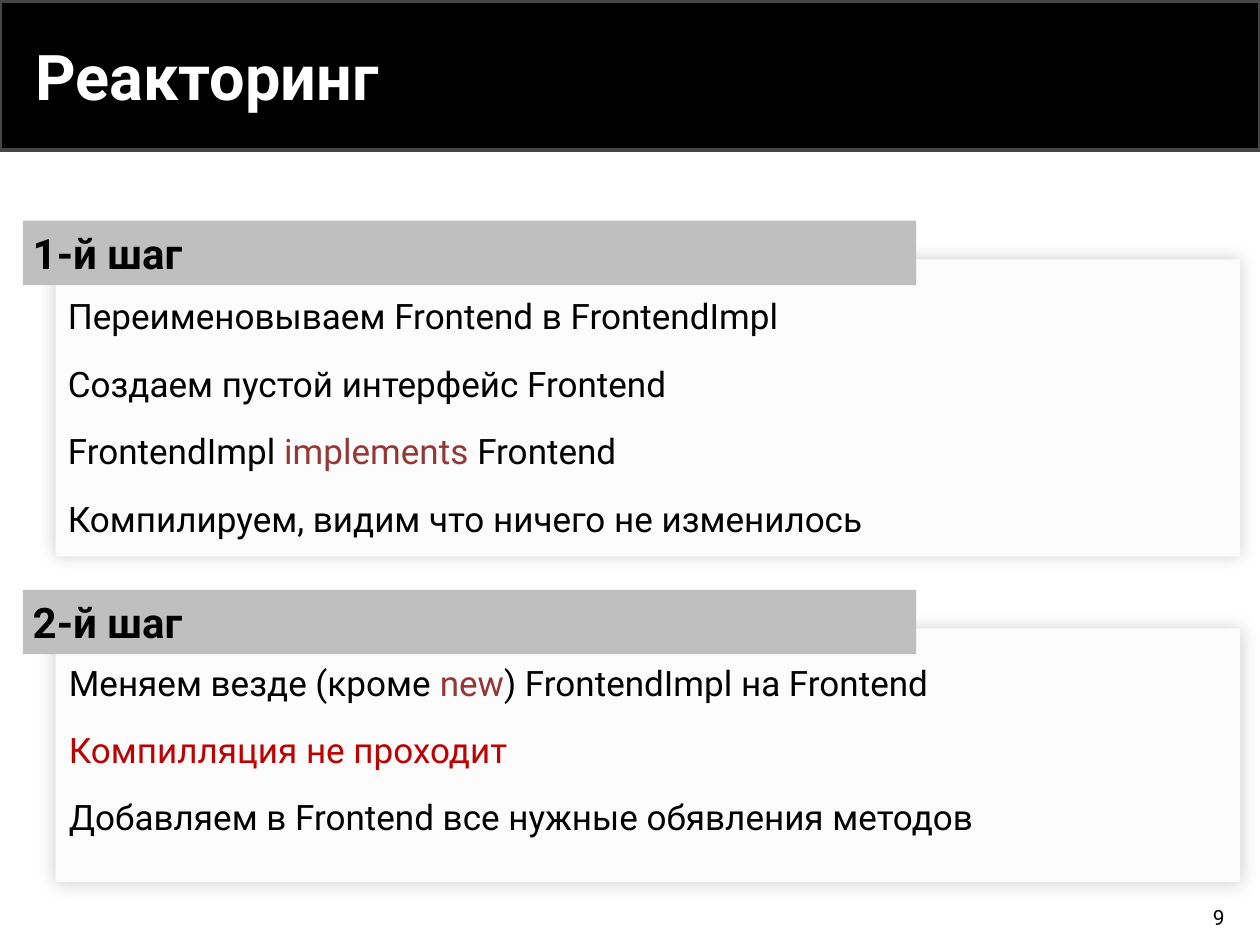
from dataclasses import dataclass

from lxml.etree import SubElement
from pptx import Presentation
from pptx.dml.color import RGBColor as Rgb
from pptx.enum.shapes import MSO_SHAPE as Kind
from pptx.enum.text import MSO_ANCHOR as Anchor, PP_ALIGN as Align
from pptx.oxml.ns import qn
from pptx.shapes.autoshape import Shape
from pptx.shapes.shapetree import SlideShapes as Tree
from pptx.util import Cm, Pt


@dataclass(frozen=True)
class Theme:
    font: str = "Roboto"
    black: str = "000000"
    white: str = "FFFFFF"
    edge: str = "464646"
    panel: str = "FCFCFC"
    head: str = "BFBFBF"
    key: str = "953735"
    alert: str = "C00000"
    title: int = 36
    step: int = 24
    body: int = 20
    page: int = 12


T = Theme()


@dataclass(frozen=True)
class Run:
    text: str
    color: str = T.black


@dataclass(frozen=True)
class Box:
    left: float
    top: float
    width: float
    height: float

    def cm(self) -> tuple[Cm, Cm, Cm, Cm]:
        return Cm(self.left), Cm(self.top), Cm(self.width), Cm(self.height)


@dataclass(frozen=True)
class Step:
    name: str
    top: float
    depth: float  # panel height
    left: float   # left edge of the lines
    first: float  # from the header top to the first line
    pitch: float
    lines: list[list[Run]]


STEPS = [
    Step("1-й шаг", 4.45, 5.99, 1.12, 1.37, 1.36, [
        [Run("Переименовываем Frontend в FrontendImpl")],
        [Run("Создаем пустой интерфейс Frontend")],
        [Run("FrontendImpl "), Run("implements", T.key), Run(" Frontend")],
        [Run("Компилируем, видим что ничего не изменилось")],
    ]),
    Step("2-й шаг", 11.89, 5.11, 1.14, 1.32, 1.35, [
        [Run("Меняем везде (кроме "), Run("new", T.key),
         Run(") FrontendImpl на Frontend")],
        [Run("Компилляция не проходит", T.alert)],
        [Run("Добавляем в Frontend все нужные обявления методов")],
    ]),
]


def rect(tree: Tree, box: Box, fill: str) -> Shape:
    shape = tree.add_shape(Kind.RECTANGLE, *box.cm())
    shape.shadow.inherit = False
    shape.fill.solid()
    shape.fill.fore_color.rgb = Rgb.from_string(fill)
    shape.line.fill.background()
    return shape


def glow(shape: Shape, blur: int, alpha: int) -> None:
    """Add a soft shadow with no offset."""
    effects = shape._element.spPr.find(qn("a:effectLst"))
    outer = SubElement(effects, qn("a:outerShdw"), blurRad=str(Pt(blur)),
                       dist="0", dir="0", algn="ctr", rotWithShape="0")
    color = SubElement(outer, qn("a:srgbClr"), val=T.black)
    SubElement(color, qn("a:alpha"), val=str(alpha * 1000))


def write(shape: Shape, runs: list[Run], size: int, bold: bool = False,
          align: Align = Align.LEFT, anchor: Anchor = Anchor.MIDDLE) -> None:
    frame = shape.text_frame
    frame.word_wrap = True
    frame.vertical_anchor = anchor
    para = frame.paragraphs[0]
    para.alignment = align
    for item in runs:
        run = para.add_run()
        run.text = item.text
        font = run.font
        font.name, font.size, font.bold = T.font, Pt(size), bold
        font.color.rgb = Rgb.from_string(item.color)


def draw(tree: Tree, step: Step) -> None:
    # Panel, then the header over its top edge
    panel = rect(tree, Box(1.12, step.top + 0.78, 23.88, step.depth), T.panel)
    glow(panel, blur=10, alpha=19)
    head = rect(tree, Box(0.46, step.top, 18.01, 1.3), T.head)
    frame = head.text_frame
    frame.margin_left = frame.margin_right = Cm(0.2)
    frame.margin_top = frame.margin_bottom = Cm(0.1)
    write(head, [Run(step.name)], T.step, bold=True)

    # Lines
    for row, runs in enumerate(step.lines):
        top = step.top + step.first + row * step.pitch
        text = tree.add_textbox(*Box(step.left, top, 23.01, 1.12).cm())
        write(text, runs, T.body, anchor=Anchor.TOP)


def main() -> None:
    deck = Presentation()
    deck.slide_width, deck.slide_height = Cm(25.4), Cm(19.05)
    tree = deck.slides.add_slide(deck.slide_layouts[6]).shapes

    # Title band
    band = rect(tree, Box(0, 0.03, 25.4, 3), T.black)
    band.line.color.rgb = Rgb.from_string(T.edge)
    band.line.width = Pt(2)
    title = tree.add_textbox(*Box(0.46, 0.25, 20.7, 2.54).cm())
    write(title, [Run("Реакторинг", T.white)], T.title, bold=True)

    # Steps
    for step in STEPS:
        draw(tree, step)

    # Page number
    page = tree.add_textbox(*Box(19.15, 18.11, 5.79, 0.76).cm())
    write(page, [Run("9")], T.page, align=Align.RIGHT)

    deck.save("out.pptx")


if __name__ == "__main__":
    main()
